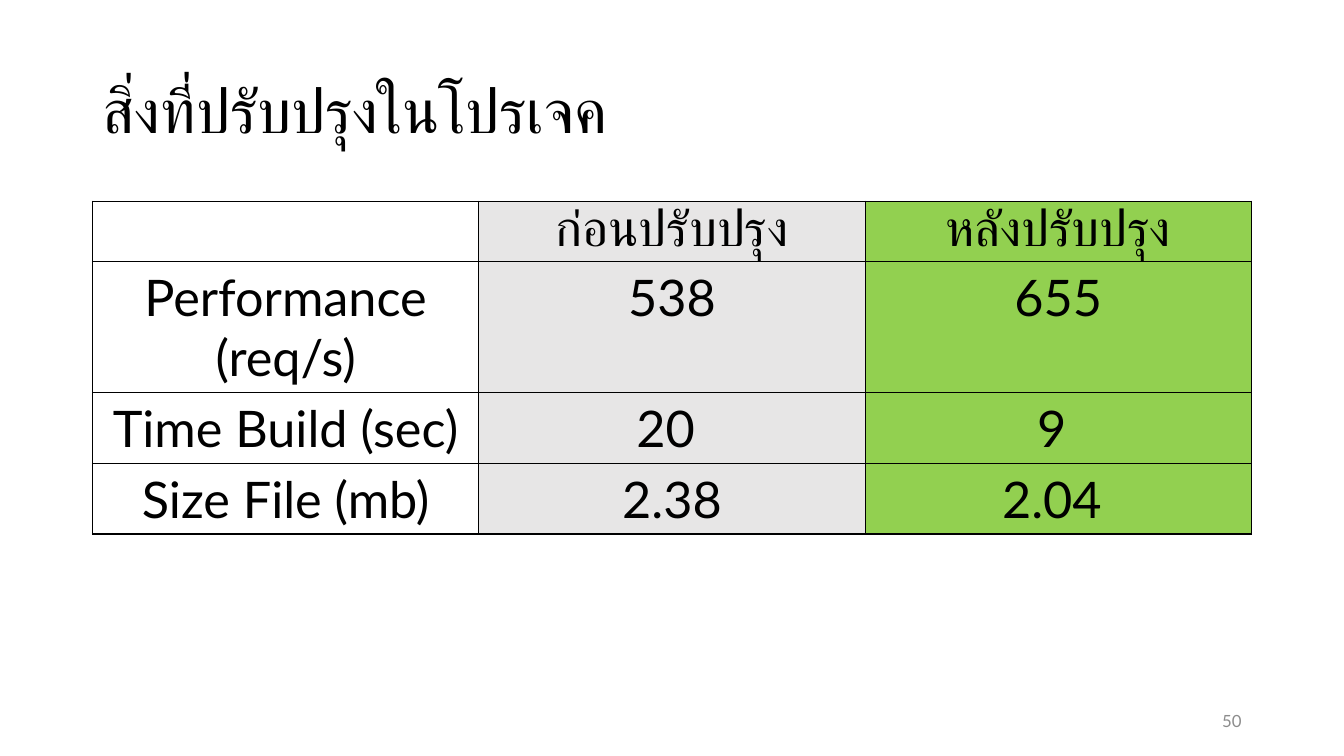
"""Build the slide that compares the project before and after improvement."""
from dataclasses import dataclass

from lxml.etree import SubElement
from pptx import Presentation
from pptx.dml.color import RGBColor
from pptx.enum.text import MSO_ANCHOR, MSO_AUTO_SIZE, PP_ALIGN
from pptx.oxml.ns import qn
from pptx.table import _Cell
from pptx.text.text import TextFrame
from pptx.util import Cm, Pt

LEFT, WIDTH = 2.33, 29.21
ROW_HEIGHT = 1.04
COLUMN_FILLS = (None, "E7E6E6", "92D050")
FRAME = {
    "word_wrap": True,
    "auto_size": MSO_AUTO_SIZE.NONE,
    "vertical_anchor": MSO_ANCHOR.MIDDLE,
}


@dataclass
class TextStyle:
    """Size, colour and paragraph format of a text."""

    size: float
    align: PP_ALIGN
    color: str = "000000"
    line_spacing: float = 1.0


@dataclass
class Measure:
    """One table row: a label with its values before and after."""

    label: str
    before: str
    after: str


TITLE = TextStyle(44, PP_ALIGN.LEFT, line_spacing=0.9)
CELL = TextStyle(36, PP_ALIGN.CENTER)
NUMBER = TextStyle(12, PP_ALIGN.RIGHT, "8C8C8C")
MEASURES = [
    Measure("", "ก่อนปรับปรุง", "หลังปรับปรุง"),
    Measure("Performance (req/s)", "538", "655"),
    Measure("Time Build (sec)", "20 ", "9 "),
    Measure("Size File (mb)", "2.38", "2.04 "),
]


def rgb(value: str) -> RGBColor:
    """Turn a hex string into a colour."""
    return RGBColor.from_string(value)


def apply(target: object, values: dict) -> None:
    """Set each named attribute on the target."""
    for name, value in values.items():
        setattr(target, name, value)


def write(tf: TextFrame, text: str, style: TextStyle) -> None:
    """Write one styled paragraph into a text frame."""
    p = tf.paragraphs[0]
    apply(p, {"alignment": style.align, "line_spacing": style.line_spacing})
    if text:
        r = p.add_run()
        r.text = text
        apply(r.font, {"name": "Lato", "size": Pt(style.size), "bold": False})
        r.font.color.rgb = rgb(style.color)


def add_borders(cell: _Cell, color: str, width: float) -> None:
    """Draw a solid line on all four sides of a cell."""
    properties = cell._tc.get_or_add_tcPr()
    for side in ("a:lnL", "a:lnR", "a:lnT", "a:lnB"):
        line = SubElement(properties, qn(side), w=str(Pt(width)))
        fill = SubElement(line, qn("a:solidFill"))
        SubElement(fill, qn("a:srgbClr"), val=color)


def fill_cell(cell: _Cell, text: str, fill: str | None) -> None:
    """Give a cell its borders, fill and text."""
    add_borders(cell, "000000", 1)
    if fill:
        cell.fill.solid()
        cell.fill.fore_color.rgb = rgb(fill)
    else:
        cell.fill.background()
    write(cell.text_frame, text, CELL)


def main() -> None:
    """Build and save the slide."""
    prs = Presentation()
    apply(prs, {"slide_width": Cm(33.87), "slide_height": Cm(19.05)})
    s = prs.slides.add_slide(prs.slide_layouts[5])

    title = s.shapes.title
    apply(title, {"left": Cm(LEFT), "top": Cm(1.01),
                  "width": Cm(WIDTH), "height": Cm(3.68)})
    apply(title.text_frame, FRAME)
    write(title.text_frame, "สิ่งที่ปรับปรุงในโปรเจค", TITLE)

    table = s.shapes.add_table(
        len(MEASURES), len(COLUMN_FILLS), Cm(LEFT), Cm(5.07),
        Cm(WIDTH), Cm(ROW_HEIGHT * len(MEASURES))).table
    apply(table, {"first_row": False, "horz_banding": False})
    for row, measure in enumerate(MEASURES):
        texts = (measure.label, measure.before, measure.after)
        for column, (text, fill) in enumerate(zip(texts, COLUMN_FILLS)):
            fill_cell(table.cell(row, column), text, fill)

    sp = s.shapes.add_textbox(Cm(23.92), Cm(17.66), Cm(7.62), Cm(1.01))
    apply(sp.text_frame, FRAME)
    write(sp.text_frame, "50", NUMBER)

    prs.save("out.pptx")


if __name__ == "__main__":
    main()
